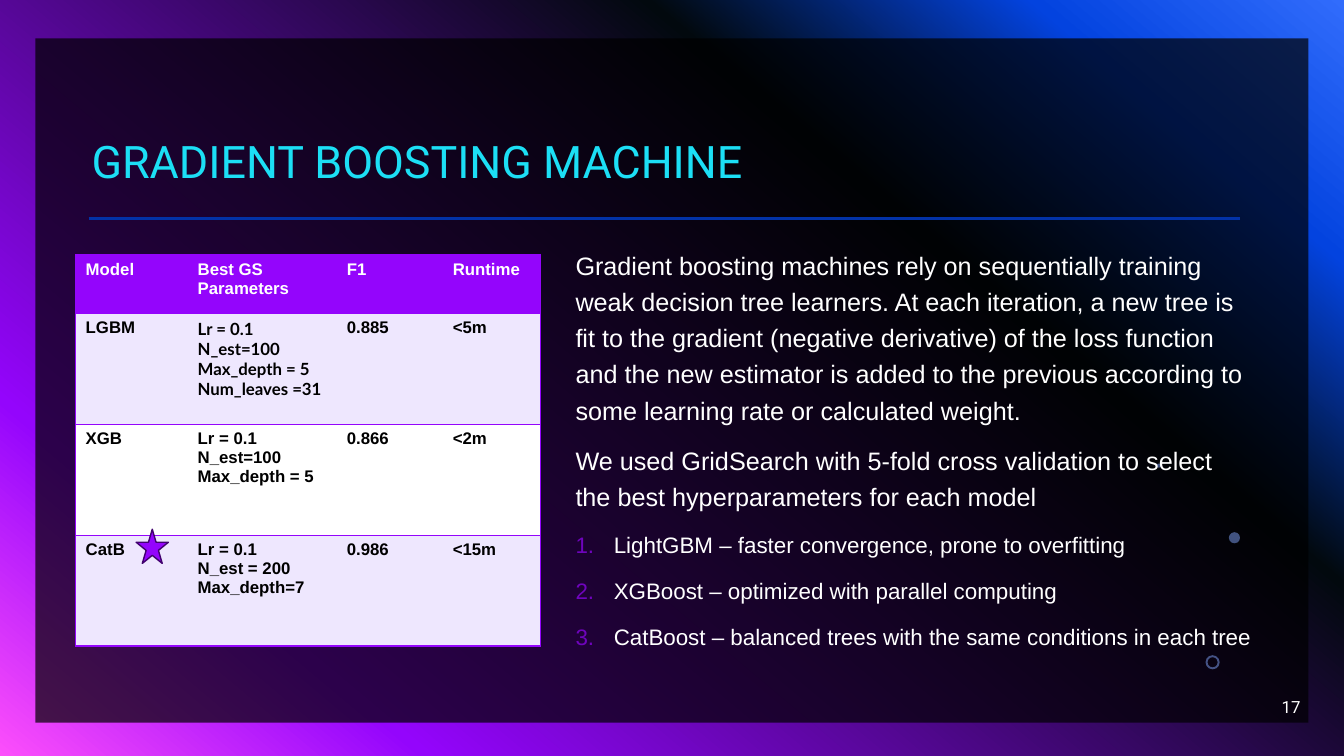
from lxml import etree
from pptx import Presentation
from pptx.dml.color import RGBColor
from pptx.enum.shapes import MSO_CONNECTOR, MSO_SHAPE
from pptx.enum.text import MSO_ANCHOR, PP_ALIGN
from pptx.oxml import parse_xml
from pptx.oxml.ns import nsdecls, qn
from pptx.util import Inches, Pt

RECTANGLE, OVAL = MSO_SHAPE.RECTANGLE, MSO_SHAPE.OVAL
DONUT, STAR = MSO_SHAPE.DONUT, MSO_SHAPE.STAR_5_POINT
STRAIGHT = MSO_CONNECTOR.STRAIGHT
TOP, MIDDLE, BOTTOM = MSO_ANCHOR.TOP, MSO_ANCHOR.MIDDLE, MSO_ANCHOR.BOTTOM
LEFT, RIGHT = PP_ALIGN.LEFT, PP_ALIGN.RIGHT

PURPLE, DARK_PURPLE, DEEP_PURPLE = "9405FC", "41026E", "6F04BD"
BLUE, PALE_BLUE, CYAN = "0232A7", "83A7FD", "1CDFF5"
BLACK, WHITE, LILAC = "000000", "FFFFFF", "EEE7FE"
BACKDROP = [(0, "316CFC"), (14, "0343DF"), (31, "02090E"), (81, PURPLE), (100, "FC4EFB")]
PLAIN_TABLE = "{2D5ABB26-0587-4C30-8999-92F81FD0307C}"

EXPLANATION = [
    "Gradient boosting machines rely on sequentially training weak decision tree learners. "
    "At each iteration, a new tree is fit to the gradient (negative derivative) of the loss "
    "function and the new estimator is added to the previous according to some learning rate "
    "or calculated weight.",
    "We used GridSearch with 5-fold cross validation to select the best hyperparameters "
    "for each model",
]
MODELS = [
    "LightGBM – faster convergence, prone to overfitting",
    "XGBoost – optimized with parallel computing",
    "CatBoost – balanced trees with the same conditions in each tree",
]
RESULTS = [
    ["Model", "Best GS Parameters", "F1", "Runtime"],
    ["LGBM", "Lr = 0.1\nN_est=100\nMax_depth = 5\nNum_leaves =31", "0.885", "<5m"],
    ["XGB", "Lr = 0.1\nN_est=100\nMax_depth = 5", "0.866", "<2m"],
    ["CatB", "Lr = 0.1\nN_est = 200\nMax_depth=7", "0.986", "<15m"],
]


def color(value):
    return RGBColor.from_string(value)


class SlideBuilder:
    """Places elements by percentages of the slide's width and height."""

    title_font, body_font, list_font = "Roboto", "Arial", "Lato"

    def __init__(self, presentation):
        self.width = presentation.slide_width
        self.height = presentation.slide_height
        self.slide = presentation.slides.add_slide(presentation.slide_layouts[6])
        self.shapes = self.slide.shapes

    def x(self, share):
        return round(self.width * share / 100)

    def y(self, share):
        return round(self.height * share / 100)

    def box(self, left, top, width, height):
        return self.x(left), self.y(top), self.x(width), self.y(height)

    def background(self, stops, angle):
        fill = self.slide.background.fill
        fill.gradient()
        gradient = self.slide.background._cSld.bg.bgPr.find(qn("a:gradFill"))
        stop_list = gradient.find(qn("a:gsLst"))
        for stop in list(stop_list):
            stop_list.remove(stop)
        for position, value in stops:
            stop = etree.SubElement(stop_list, qn("a:gs"), pos=str(position * 1000))
            etree.SubElement(stop, qn("a:srgbClr"), val=value)
        gradient.find(qn("a:lin")).set("ang", str(angle * 60000))

    def shape(self, kind, place, fill, opacity=100, line=None):
        shape = self.shapes.add_shape(kind, *self.box(*place))
        shape.shadow.inherit = False
        shape.fill.solid()
        shape.fill.fore_color.rgb = color(fill)
        if opacity < 100:
            value = shape._element.spPr.find(qn("a:solidFill"))[0]
            etree.SubElement(value, qn("a:alpha"), val=str(opacity * 1000))
        if line:
            shape.line.color.rgb = color(line)
            shape.line.width = Pt(1)
        else:
            shape.line.fill.background()
        return shape

    def rule(self, left, right, top, line, width):
        connector = self.shapes.add_connector(
            STRAIGHT, self.x(left), self.y(top), self.x(right), self.y(top))
        connector.line.color.rgb = color(line)
        connector.line.width = Pt(width)
        etree.SubElement(connector._element.spPr, qn("a:effectLst"))

    def style(self, paragraph, size, font, value, bold=False):
        paragraph.font.size = Pt(size)
        paragraph.font.name = font
        paragraph.font.color.rgb = color(value)
        paragraph.font.bold = bold

    def text(self, place, items, font, value, anchor=TOP, align=LEFT, spacing=1.0, before=0):
        frame = self.shapes.add_textbox(*self.box(*place)).text_frame
        frame.word_wrap = True
        frame.vertical_anchor = anchor
        frame.text = "\n".join(content for content, size, numbered in items)
        for paragraph, (content, size, numbered) in zip(frame.paragraphs, items):
            self.style(paragraph, size, font, value)
            paragraph.alignment = align
            paragraph.line_spacing = spacing
            paragraph.space_before = Pt(before)
            if numbered:
                self.number(paragraph)

    def number(self, paragraph):
        properties = paragraph._p.get_or_add_pPr()
        indent = Inches(0.38)
        properties.set("marL", str(indent))
        properties.set("indent", str(-indent))
        bullet_color = parse_xml(
            f'<a:buClr {nsdecls("a")}><a:srgbClr val="{DEEP_PURPLE}"/></a:buClr>')
        numbering = parse_xml(f'<a:buAutoNum {nsdecls("a")} type="arabicPeriod"/>')
        defaults = properties.find(qn("a:defRPr"))
        defaults.addprevious(bullet_color)
        defaults.addprevious(numbering)

    def table(self, left, top, columns, rows, content):
        place = self.box(left, top, sum(columns), sum(rows))
        table = self.shapes.add_table(len(rows), len(columns), *place).table
        table._tbl.tblPr.find(qn("a:tableStyleId")).text = PLAIN_TABLE
        for column, width in zip(table.columns, columns):
            column.width = self.x(width)
        for row, height in zip(table.rows, rows):
            row.height = self.y(height)
        last = len(columns) - 1
        for row, values in enumerate(content):
            fill = PURPLE if row == 0 else LILAC if row % 2 else WHITE
            for column, value in enumerate(values):
                cell = table.cell(row, column)
                sides = "L" * (column == 0) + "R" * (column == last) + "TB"
                self.borders(cell, sides)
                cell.fill.solid()
                cell.fill.fore_color.rgb = color(fill)
                cell.text = value
                font = self.list_font if (row, column) == (1, 1) else self.body_font
                for paragraph in cell.text_frame.paragraphs:
                    self.style(paragraph, 12, font, BLACK if row else WHITE, True)

    def borders(self, cell, sides):
        properties = cell._tc.get_or_add_tcPr()
        for side in sides:
            line = etree.SubElement(properties, qn(f"a:ln{side}"), w=str(Pt(1)))
            fill = etree.SubElement(line, qn("a:solidFill"))
            etree.SubElement(fill, qn("a:srgbClr"), val=PURPLE)


def main():
    presentation = Presentation()
    presentation.slide_width = Inches(13.33)
    presentation.slide_height = Inches(7.5)
    builder = SlideBuilder(presentation)

    builder.background(BACKDROP, 130)
    builder.shape(RECTANGLE, (2.63, 5.07, 94.73, 90.53), BLACK, 70)
    builder.rule(6.6, 92.25, 28.93, BLUE, 2)
    ring = builder.shape(DONUT, (89.7, 86.67, 1.05, 1.87), PALE_BLUE, 49)
    ring.adjustments[0] = 0.14
    for dot in [(91.43, 70.4, 0.83, 1.47), (86.03, 61.33, 0.38, 0.53)]:
        builder.shape(OVAL, dot, PALE_BLUE, 49)

    builder.text((6.08, 6.27, 86.1, 19.33), [("GRADIENT BOOSTING MACHINE", 32, False)],
                 builder.title_font, CYAN, anchor=BOTTOM, spacing=0.9)
    body = [(content, 18, False) for content in EXPLANATION]
    body += [(content, 16, True) for content in MODELS]
    builder.text((42.08, 31.6, 51.83, 54.27), body, builder.body_font, WHITE,
                 spacing=1.2, before=10)
    builder.text((75, 90.8, 22.5, 5.33), [("17", 12, False)], builder.title_font, WHITE,
                 anchor=MIDDLE, align=RIGHT)
    builder.table(5.63, 33.73, [8.33, 11.1, 7.88, 7.28], [7.73] + [14.67] * 3, RESULTS)
    builder.shape(STAR, (10.13, 70, 2.4, 4.53), PURPLE, line=DARK_PURPLE)

    presentation.save("out.pptx")


if __name__ == "__main__":
    main()
